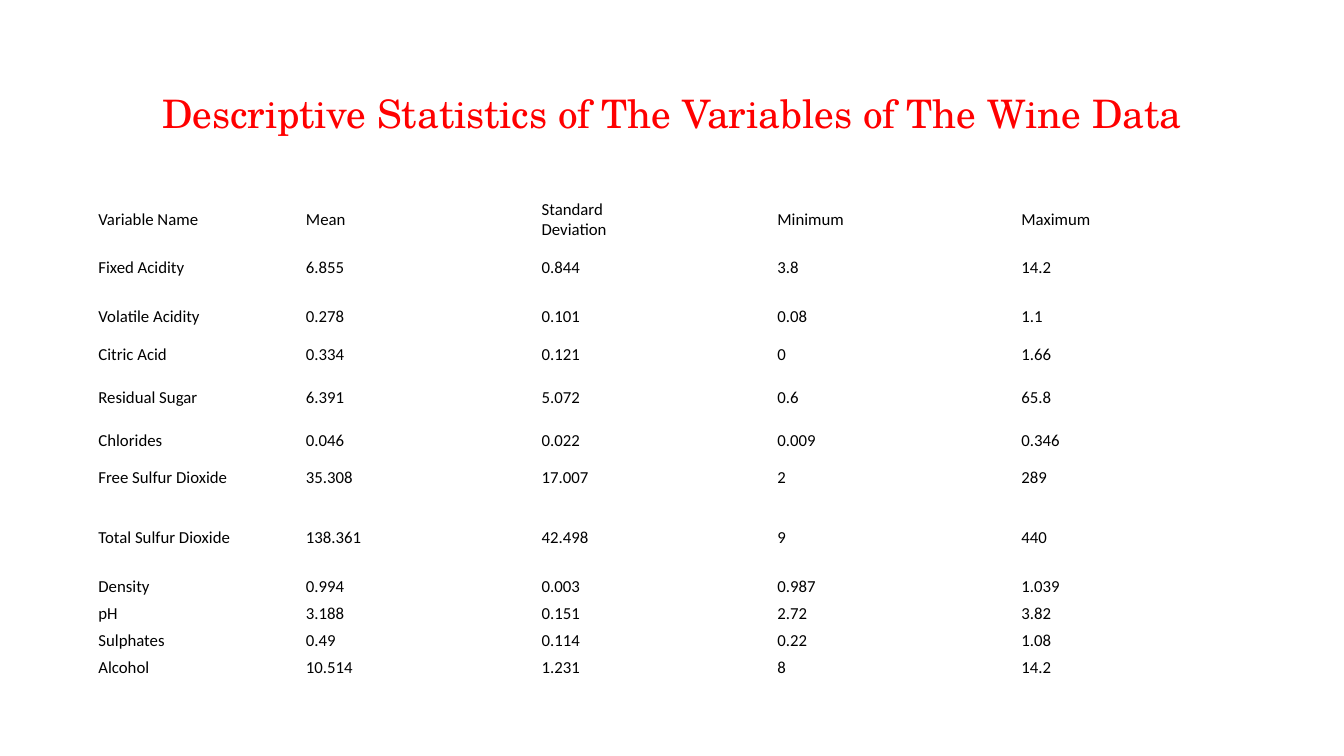
from dataclasses import dataclass

from pptx import Presentation
from pptx.dml.color import RGBColor
from pptx.enum.text import MSO_ANCHOR as Anchor, PP_ALIGN as Align
from pptx.util import Cm, Pt


@dataclass(frozen=True)
class Theme:
    title_font: str = "TeX Gyre Schola"
    body_font: str = "Calibri"
    title_size: int = 28
    body_size: int = 12
    title_color: str = "FF0000"
    body_color: str = "000000"
    cell_color: str = "FFFFFF"


class StatisticsSlide:
    """Holds the theme and the current slide, and adds elements to it."""

    def __init__(self, deck, theme):
        self.theme = theme
        self.slide = deck.slides.add_slide(deck.slide_layouts[6])

    def add_run(self, paragraph, wording, font, size, color):
        run = paragraph.add_run()
        run.text = wording
        run.font.name = font
        run.font.size = Pt(size)
        run.font.color.rgb = RGBColor.from_string(color)

    def add_title(self, wording, left, top, width, height):
        theme = self.theme
        box = self.slide.shapes.add_textbox(Cm(left), Cm(top), Cm(width), Cm(height))
        frame = box.text_frame
        frame.word_wrap = True
        frame.vertical_anchor = Anchor.MIDDLE
        heading = frame.paragraphs[0]
        heading.alignment = Align.CENTER
        self.add_run(heading, wording, theme.title_font, theme.title_size, theme.title_color)

    def fill_cell(self, cell, wording):
        theme = self.theme
        cell.fill.solid()
        cell.fill.fore_color.rgb = RGBColor.from_string(theme.cell_color)
        cell.vertical_anchor = Anchor.MIDDLE
        cell.margin_left = cell.margin_right = Cm(0.15)
        cell.margin_top = cell.margin_bottom = Cm(0.05)
        frame = cell.text_frame
        for index, line in enumerate(wording.split("\n")):
            paragraph = frame.add_paragraph() if index else frame.paragraphs[0]
            self.add_run(paragraph, line, theme.body_font, theme.body_size, theme.body_color)

    def add_table(self, records, left, top, widths, heights):
        table = self.slide.shapes.add_table(
            len(records), len(widths), Cm(left), Cm(top), Cm(sum(widths)), Cm(sum(heights))
        ).table
        table.first_row = table.horz_banding = False
        for column, width in zip(table.columns, widths):
            column.width = Cm(width)
        for row, height, record in zip(table.rows, heights, records):
            row.height = Cm(height)
            for cell, wording in zip(row.cells, record):
                self.fill_cell(cell, wording)


STATISTICS = [
    ("Variable Name", "Mean", "Standard\nDeviation", "Minimum", "Maximum"),
    ("Fixed Acidity", "6.855", "0.844", "3.8", "14.2"),
    ("Volatile Acidity", "0.278", "0.101", "0.08", "1.1"),
    ("Citric Acid", "0.334", "0.121", "0", "1.66"),
    ("Residual Sugar", "6.391", "5.072", "0.6", "65.8"),
    ("Chlorides", "0.046", "0.022", "0.009", "0.346"),
    ("Free Sulfur Dioxide", "35.308", "17.007", "2", "289"),
    ("Total Sulfur Dioxide", "138.361", "42.498", "9", "440"),
    ("Density", "0.994", "0.003", "0.987", "1.039"),
    ("pH", "3.188", "0.151", "2.72", "3.82"),
    ("Sulphates", "0.49", "0.114", "0.22", "1.08"),
    ("Alcohol", "10.514", "1.231", "8", "14.2"),
]
COLUMN_WIDTHS = [5.23, 5.94, 5.94, 6.15, 5.94]
ROW_HEIGHTS = [1.22] * 3 + [0.68, 1.5, 0.67, 1.22, 1.78] + [0.68] * 4


def main():
    deck = Presentation()
    deck.slide_width, deck.slide_height = Cm(33.87), Cm(19.05)
    wine = StatisticsSlide(deck, Theme())
    wine.add_title(
        "Descriptive Statistics of The Variables of The Wine Data", 2.33, 1.01, 29.21, 3.68
    )
    wine.add_table(STATISTICS, 2.33, 4.93, COLUMN_WIDTHS, ROW_HEIGHTS)
    deck.save("out.pptx")


if __name__ == "__main__":
    main()
